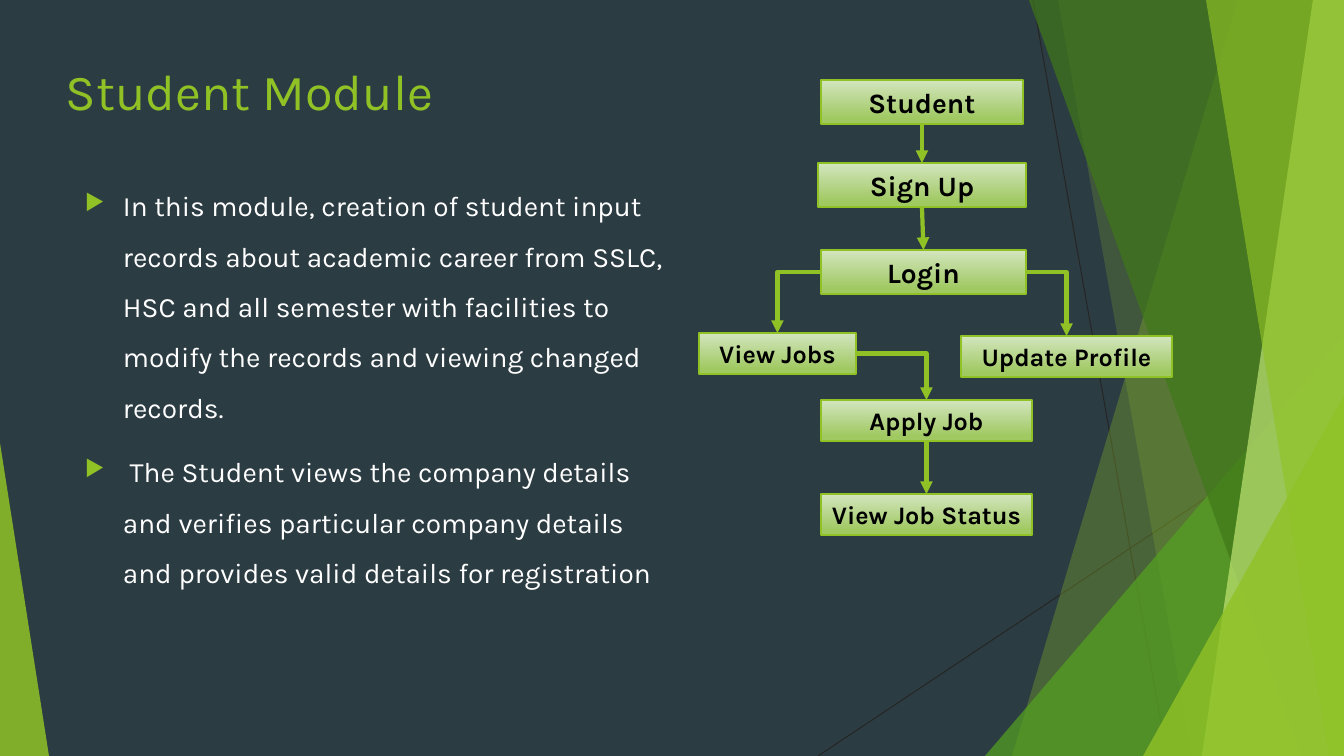
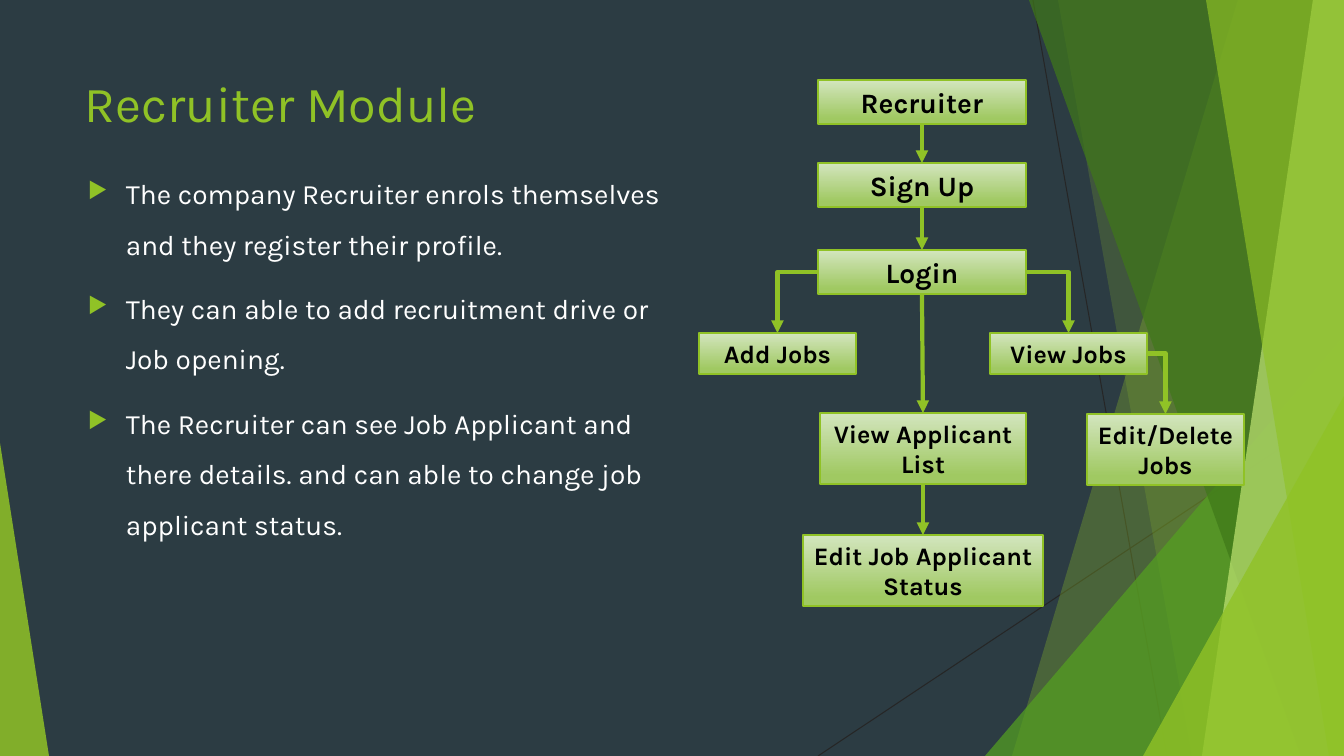
from lxml import etree
from pptx import Presentation
from pptx.dml.color import RGBColor
from pptx.enum.shapes import MSO_CONNECTOR, MSO_SHAPE
from pptx.enum.text import MSO_ANCHOR, PP_ALIGN
from pptx.oxml.ns import qn
from pptx.util import Pt

PX = 914400 / 100.8
WIDE, HIGH = 1344, 756
FONT = "Karla"
COLORS = {
    "back": "2C3C43", "lime": "90C226", "green": "54A021", "forest": "3F7819",
    "pale": "C0E474", "hair": "262626", "white": "FFFFFF", "black": "000000",
    "top": "D3E5BE", "base": "A0C962",
}

HAIRS = [(1033, 0, 1167, HIGH), (WIDE, 406, 818, HIGH)]
# Bands: top x, bottom x. Wedges: left, top, width, apex position.
DECOR = [
    ("band", (1238, 1012), "lime", 30),
    ("band", (1058, 1192), "lime", 20),
    ("wedge", (985, 336, 359, 1), "green", 72),
    ("band", (1029, 1301), "forest", 70),
    ("band", (1313, 1202), "pale", 70),
    ("band", (1206, 1329), "lime", 65),
    ("wedge", (1143, 396, 201, 1), "lime", 80),
    ("wedge", (0, 443, 49, 0), "lime", 85),
]

# Box kinds: height, text size
KINDS = {"main": (44, 20), "step": (41, 18), "tall": (71, 18)}
# Connection sites of a rectangle
SITES = {"top": 0, "left": 1, "bottom": 2, "right": 3}

SLIDES = [
    {
        "title": ("Student Module", (56, 55, 948, 100)),
        "body": ([
            "In this module, creation of student input records about academic "
            "career from SSLC, HSC and all semester with facilities to modify "
            "the records and viewing changed records.",
            " The Student views the company details and verifies particular "
            "company details and provides valid details for registration",
        ], (75, 167, 612, 499)),
        "boxes": [
            ("Student", "main", 821, 80, 202),
            ("Sign Up", "main", 818, 163, 208),
            ("Login", "main", 821, 250, 205),
            ("View Jobs", "step", 699, 333, 157),
            ("Update Profile", "step", 961, 336, 211),
            ("Apply Job", "step", 821, 400, 211),
            ("View Job Status", "step", 821, 494, 211),
        ],
        "links": [
            ("Student", "bottom", "Sign Up"),
            ("Sign Up", "bottom", "Login"),
            ("Login", "left", "View Jobs"),
            ("Login", "right", "Update Profile"),
            ("View Jobs", "right", "Apply Job"),
            ("Apply Job", "bottom", "View Job Status"),
        ],
    },
    {
        "title": ("Recruiter Module", (75, 67, 948, 108)),
        "body": ([
            "The company Recruiter enrols themselves and they register their "
            "profile.",
            "They can able to add recruitment drive or Job opening.",
            "The Recruiter can see Job Applicant and there details. and can "
            "able to change job applicant status.",
        ], (78, 155, 601, 491)),
        "boxes": [
            ("Recruiter", "main", 818, 80, 208),
            ("Sign Up", "main", 818, 163, 208),
            ("Login", "main", 818, 250, 208),
            ("Add Jobs", "step", 699, 333, 157),
            ("View Jobs", "step", 990, 333, 157),
            ("View Applicant List", "tall", 820, 413, 206),
            ("Edit/Delete Jobs", "tall", 1087, 414, 157),
            ("Edit Job Applicant Status", "tall", 803, 535, 240),
        ],
        "links": [
            ("Recruiter", "bottom", "Sign Up"),
            ("Sign Up", "bottom", "Login"),
            ("Login", "left", "Add Jobs"),
            ("Login", "right", "View Jobs"),
            ("Login", "bottom", "View Applicant List"),
            ("View Jobs", "right", "Edit/Delete Jobs"),
            ("View Applicant List", "bottom", "Edit Job Applicant Status"),
        ],
    },
]


def emu(*values):
    return [round(v * PX) for v in values]


def color(name):
    return RGBColor.from_string(COLORS[name])


def add_bullet(para):
    props = para._p.get_or_add_pPr()
    [indent] = emu(38)
    props.set("marL", str(indent))
    props.set("indent", str(-indent))
    tint = etree.SubElement(props, qn("a:buClr"))
    etree.SubElement(tint, qn("a:srgbClr"), val=COLORS["lime"])
    etree.SubElement(props, qn("a:buSzPct"), val="80000")
    etree.SubElement(props, qn("a:buChar"), char="▶")


def write(shape, lines, size=20, ink="white", bold=False, align=PP_ALIGN.LEFT,
          anchor=MSO_ANCHOR.TOP, spacing=None, gap=0, bullet=False):
    frame = shape.text_frame
    frame.word_wrap = True
    frame.vertical_anchor = anchor
    for i, line in enumerate(lines):
        para = frame.paragraphs[0] if i == 0 else frame.add_paragraph()
        if bullet:
            add_bullet(para)
        para.alignment = align
        if spacing:
            para.line_spacing = spacing
        if i and gap:
            para.space_before = Pt(gap)
        run = para.add_run()
        run.text = line
        run.font.name = FONT
        run.font.size = Pt(size)
        run.font.bold = bold
        run.font.color.rgb = color(ink)


def style_line(line, ink, width):
    line.line.color.rgb = color(ink)
    line.line.width = Pt(width)
    etree.SubElement(line._element.spPr, qn("a:effectLst"))


def add_decor(slide):
    shapes = slide.shapes
    for ends in HAIRS:
        hair = shapes.add_connector(MSO_CONNECTOR.STRAIGHT, *emu(*ends))
        style_line(hair, "hair", 0.75)
    for kind, place, ink, alpha in DECOR:
        if kind == "band":
            top, bottom = place
            path = shapes.build_freeform(*emu(top, 0))
            corners = [(WIDE, 0), (WIDE, HIGH), (bottom, HIGH)]
            path.add_line_segments([emu(*c) for c in corners], close=True)
            part = path.convert_to_shape()
        else:
            left, top, width, apex = place
            part = shapes.add_shape(MSO_SHAPE.ISOSCELES_TRIANGLE,
                                    *emu(left, top, width, HIGH - top))
            part.adjustments[0] = apex
        part.shadow.inherit = False
        part.line.fill.background()
        part.fill.solid()
        part.fill.fore_color.rgb = color(ink)
        tint = part._element.spPr.find(".//" + qn("a:srgbClr"))
        etree.SubElement(tint, qn("a:alpha"), val=str(alpha * 1000))


def add_box(slide, label, kind, left, top, width):
    height, size = KINDS[kind]
    box = slide.shapes.add_shape(MSO_SHAPE.RECTANGLE,
                                 *emu(left, top, width, height))
    box.shadow.inherit = False
    box.fill.gradient()
    box.fill.gradient_angle = 270
    stops = [("top", 0), ("base", 0.88)]
    for stop, (ink, spot) in zip(box.fill.gradient_stops, stops):
        stop.color.rgb = color(ink)
        stop.position = spot
    box.line.color.rgb = color("lime")
    box.line.width = Pt(1)
    frame = box.text_frame
    frame.margin_left = frame.margin_right = emu(8)[0]
    write(box, [label], size=size, ink="black", bold=True,
          align=PP_ALIGN.CENTER, anchor=MSO_ANCHOR.MIDDLE)
    return box


def add_link(slide, start, side, end):
    """Join one side of a box to the top of another, with an arrowhead."""
    bent = side != "bottom"
    kind = MSO_CONNECTOR.ELBOW if bent else MSO_CONNECTOR.STRAIGHT
    link = slide.shapes.add_connector(kind, 0, 0, 0, 0)
    link.begin_connect(start, SITES[side])
    link.end_connect(end, SITES["top"])
    if bent:
        link._element.spPr.find(qn("a:prstGeom")).set("prst", "bentConnector2")
    style_line(link, "lime", 3)
    etree.SubElement(link.line._get_or_add_ln(), qn("a:tailEnd"),
                     type="triangle")


def add_slide(deck, data):
    slide = deck.slides.add_slide(deck.slide_layouts[6])
    add_decor(slide)
    title, place = data["title"]
    write(slide.shapes.add_textbox(*emu(*place)), [title], size=36, ink="lime")
    points, place = data["body"]
    write(slide.shapes.add_textbox(*emu(*place)), points,
          spacing=1.5, gap=10, bullet=True)
    boxes = {box[0]: add_box(slide, *box) for box in data["boxes"]}
    for start, side, end in data["links"]:
        add_link(slide, boxes[start], side, boxes[end])


def main():
    deck = Presentation()
    deck.slide_width, deck.slide_height = emu(WIDE, HIGH)
    back = deck.slide_master.background.fill
    back.solid()
    back.fore_color.rgb = color("back")
    for data in SLIDES:
        add_slide(deck, data)
    deck.save("out.pptx")


if __name__ == "__main__":
    main()
